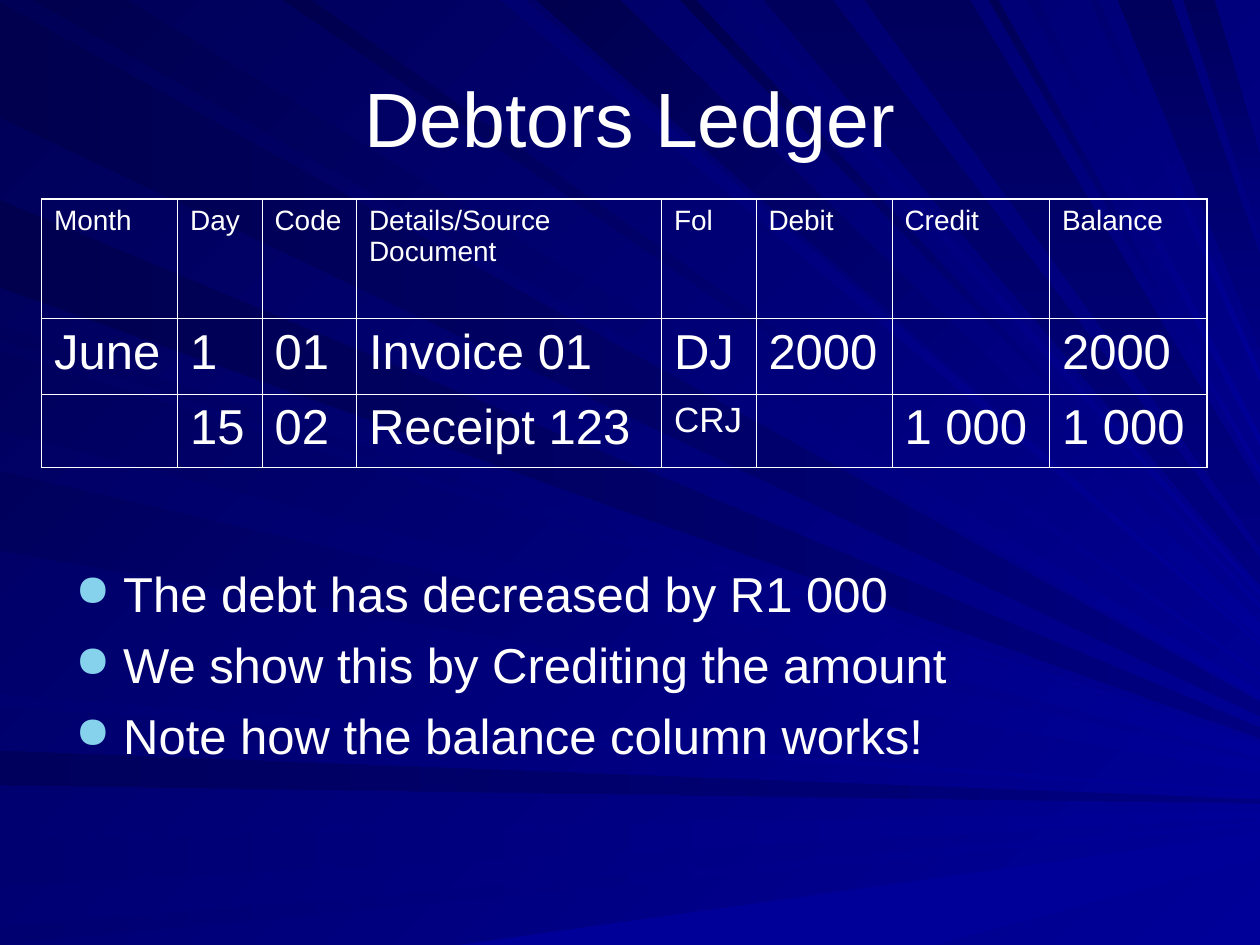
from lxml import etree
from pptx import Presentation
from pptx.dml.color import RGBColor
from pptx.enum.text import MSO_ANCHOR as Anchor, PP_ALIGN as Align
from pptx.oxml.ns import qn
from pptx.util import Inches, Pt

COLORS = {
    "text": "FFFFFF",
    "bullet": "86D1EC",
    "bright": "000099",
    "medium": "000080",
    "dusk": "000070",
    "shade": "00005C",
    "night": "000057",
    "deep": "00004E",
}
WIDTH, HEIGHT = 10, 7.5
FOCUS_X, FOCUS_Y = 11.5, 6.4

FANS = [
    ("left", "medium", "deep", 180, [(0.02, 0.93), (1.59, 2.28)]),
    ("left", "medium", "shade", 180, [(5.96, 6.23)]),
    ("left", "bright", "dusk", 180, [(5.52, 5.6), (6.65, 7.04), (7.35, 7.5)]),
    ("left", "bright", "shade", 225, [(2.58, 2.7), (2.78, 3.42), (3.74, 4.37)]),
    ("bottom", "bright", "bright", 180, [(3.64, 7.42)]),
    ("top", "bright", "deep", 225, [(0.26, 1.01), (2.25, 2.47), (4.26, 4.92), (5.4, 5.52)]),
    ("top", "bright", "dusk", 225, [(3.98, 4.16), (5.77, 5.88), (8.15, 8.24), (8.65, 8.72)]),
    ("top", "shade", "medium", 90, [(6.06, 6.61), (6.86, 7.7), (8.87, 9.3), (9.39, 9.64)]),
    ("top", "bright", "night", 225, [(7.85, 7.92)]),
]

LEDGER = [
    ["Month", "Day", "Code", "Details/Source Document", "Fol", "Debit", "Credit", "Balance"],
    ["June", "1", "01", "Invoice 01", "DJ", "2000", "", "2000"],
    ["", "15", "02", "Receipt 123", "CRJ", "", "1 000", "1 000"],
]
COLUMN_WIDTHS = [1.08, 0.67, 0.75, 2.42, 0.75, 1.08, 1.25, 1.25]
ROW_HEIGHTS = [0.95, 0.6, 0.58]
NOTES = [
    "The debt has decreased by R1 000",
    "We show this by Crediting the amount",
    "Note how the balance column works!",
]


def edge_point(edge, position):
    return {"left": (0, position), "top": (position, 0), "bottom": (position, HEIGHT)}[edge]


def right_end(x, y):
    return WIDTH, y + (FOCUS_Y - y) * (WIDTH - x) / (FOCUS_X - x)


class LedgerSlide:
    font_name = "Arial"
    thin, thick = Pt(0.45), Pt(1.08)

    def __init__(self, presentation):
        self.slide = presentation.slides.add_slide(presentation.slide_layouts[5])

    def gradient(self, fill, start, end, angle):
        fill.gradient()
        fill.gradient_angle = 360 - angle
        for stop, name in zip(fill.gradient_stops, (start, end)):
            stop.color.rgb = RGBColor.from_string(COLORS[name])

    def style(self, paragraph, size):
        paragraph.font.name = self.font_name
        paragraph.font.size = Pt(size)
        paragraph.font.color.rgb = RGBColor.from_string(COLORS["text"])

    def background(self, start, end, angle):
        self.gradient(self.slide.background.fill, start, end, angle)

    def ray(self, edge, first, last, start, end, angle):
        near, far = edge_point(edge, first), edge_point(edge, last)
        outline = [near, right_end(*near), right_end(*far), far]
        corners = [(Inches(x), Inches(y)) for x, y in outline]
        builder = self.slide.shapes.build_freeform(*corners[0], scale=1.0)
        builder.add_line_segments(corners[1:], close=True)
        shape = builder.convert_to_shape()
        shape.shadow.inherit = False
        shape.line.fill.background()
        self.gradient(shape.fill, start, end, angle)
        self.slide.shapes.title.element.addprevious(shape.element)

    def title(self, text, left, top, width, height):
        shape = self.slide.shapes.title
        shape.left, shape.top = Inches(left), Inches(top)
        shape.width, shape.height = Inches(width), Inches(height)
        frame = shape.text_frame
        frame.text = text
        frame.vertical_anchor = Anchor.MIDDLE
        paragraph = frame.paragraphs[0]
        paragraph.alignment = Align.CENTER
        self.style(paragraph, 44)

    def border(self, cell, side, width):
        properties = cell._tc.get_or_add_tcPr()
        line = etree.Element(qn(f"a:ln{side}"), w=str(width))
        fill = etree.SubElement(line, qn("a:solidFill"))
        etree.SubElement(fill, qn("a:srgbClr"), val=COLORS["text"])
        properties.insert("LRTB".index(side), line)

    def table(self, rows, widths, heights, left, top):
        frame = self.slide.shapes.add_table(
            len(rows), len(widths), Inches(left), Inches(top),
            Inches(sum(widths)), Inches(sum(heights)))
        table = frame.table
        table.first_row = table.horz_banding = False
        for column, width in zip(table.columns, widths):
            column.width = Inches(width)
        for row, height in zip(table.rows, heights):
            row.height = Inches(height)
        last_row, last_column = len(rows) - 1, len(widths) - 1
        for r, texts in enumerate(rows):
            for c, text in enumerate(texts):
                cell = table.cell(r, c)
                cell.fill.background()
                edges = {"L": c == 0, "R": c == last_column, "T": r == 0, "B": r == last_row}
                for side in "LRTB":
                    self.border(cell, side, self.thick if edges[side] else self.thin)
                cell.text = text
                size = 16 if r == 0 else 20 if text == "CRJ" else 28
                self.style(cell.text_frame.paragraphs[0], size)

    def bullet(self, paragraph):
        properties = paragraph._p.get_or_add_pPr()
        properties.set("marL", str(Inches(0.38)))
        properties.set("indent", str(-Inches(0.38)))
        color = etree.SubElement(properties, qn("a:buClr"))
        etree.SubElement(color, qn("a:srgbClr"), val=COLORS["bullet"])
        etree.SubElement(properties, qn("a:buSzPct"), val="90000")
        etree.SubElement(properties, qn("a:buChar"), char="●")

    def bullets(self, texts, left, top, width, height):
        shape = self.slide.shapes.add_textbox(
            Inches(left), Inches(top), Inches(width), Inches(height))
        frame = shape.text_frame
        frame.word_wrap = True
        for index, text in enumerate(texts):
            paragraph = frame.add_paragraph() if index else frame.paragraphs[0]
            paragraph.text = text
            self.bullet(paragraph)
            paragraph.space_before = Pt(7 if index else 0)
            self.style(paragraph, 28)


def main():
    presentation = Presentation()
    presentation.slide_width, presentation.slide_height = Inches(WIDTH), Inches(HEIGHT)
    ledger = LedgerSlide(presentation)
    ledger.background("bright", "night", 225)
    for edge, start, end, angle, spans in FANS:
        for first, last in spans:
            ledger.ray(edge, first, last, start, end, angle)
    ledger.title("Debtors Ledger", 0.5, 0.3, 9, 1.25)
    ledger.bullets(NOTES, 0.5, 4.42, 9, 2.39)
    ledger.table(LEDGER, COLUMN_WIDTHS, ROW_HEIGHTS, 0.33, 1.58)
    presentation.save("out.pptx")


if __name__ == "__main__":
    main()
